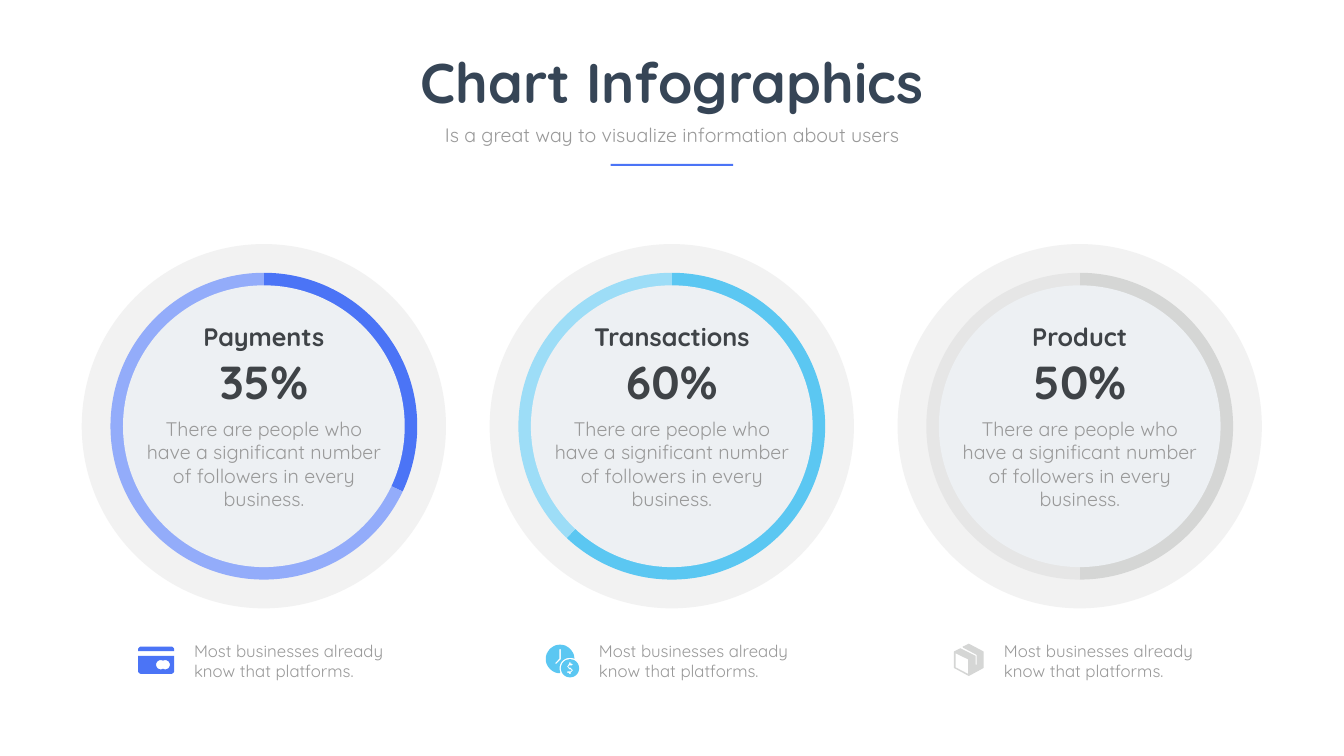
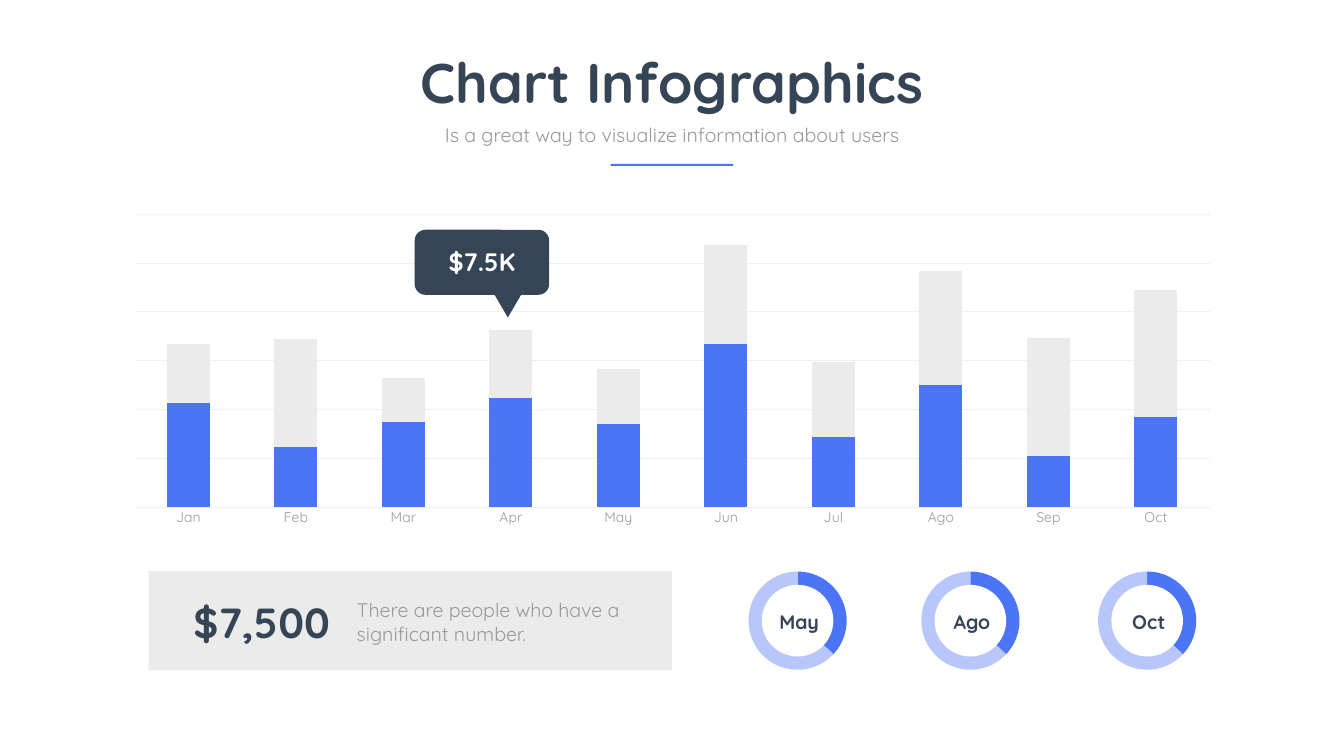
from math import cos, radians, sin

from lxml.etree import SubElement
from pptx import Presentation
from pptx.chart.data import CategoryChartData
from pptx.dml.color import RGBColor
from pptx.enum.chart import XL_CHART_TYPE, XL_TICK_MARK
from pptx.enum.shapes import MSO_SHAPE
from pptx.enum.text import MSO_ANCHOR, MSO_AUTO_SIZE, PP_ALIGN
from pptx.oxml.ns import qn
from pptx.util import Cm, Pt

BLUE = RGBColor(0x4B, 0x74, 0xF6)
SOFT_BLUE = RGBColor(0x93, 0xAC, 0xFA)
PALE_BLUE = RGBColor(0xB7, 0xC7, 0xFB)
SKY = RGBColor(0x5B, 0xC7, 0xF2)
PALE_SKY = RGBColor(0x9D, 0xDD, 0xF7)
SILVER = RGBColor(0xD5, 0xD6, 0xD5)
PALE_SILVER = RGBColor(0xE6, 0xE6, 0xE6)
NAVY = RGBColor(0x36, 0x45, 0x56)
CHARCOAL = RGBColor(0x3F, 0x43, 0x47)
GREY = RGBColor(0x99, 0x99, 0x99)
PANEL = RGBColor(0xEB, 0xEB, 0xEB)
GRID = RGBColor(0xF0, 0xF0, 0xF0)
RING = RGBColor(0xF2, 0xF2, 0xF2)
CORE = RGBColor(0xED, 0xF0, 0xF3)
WHITE = RGBColor(0xFF, 0xFF, 0xFF)

FONT = "Quicksand"
SLIDE_WIDTH, SLIDE_HEIGHT = 67.74, 38.1
MIDDLE = SLIDE_WIDTH / 2


def arc(x, y, radius, start, end):
    """Return points along a circular arc, angles in degrees, clockwise."""
    steps = max(6, round(abs(end - start) / 10))
    angles = [radians(start + (end - start) * i / steps) for i in range(steps + 1)]
    return [(x + radius * cos(a), y + radius * sin(a)) for a in angles]


class Deck:
    """Holds the style and the slide being drawn; positions are centimetres."""

    def __init__(self):
        """Start an empty presentation."""
        self.presentation = Presentation()
        self.presentation.slide_width = Cm(SLIDE_WIDTH)
        self.presentation.slide_height = Cm(SLIDE_HEIGHT)
        self.slide = None

    def new_slide(self):
        """Add a blank slide and make it current."""
        self.slide = self.presentation.slides.add_slide(self.presentation.slide_layouts[6])

    def paint(self, shape, color):
        """Give a shape a flat fill without line or shadow."""
        shape.shadow.inherit = False
        shape.fill.solid()
        shape.fill.fore_color.rgb = color
        shape.line.fill.background()
        return shape

    def shape(self, kind, left, top, width, height, color):
        """Draw a preset shape."""
        shape = self.slide.shapes.add_shape(kind, Cm(left), Cm(top), Cm(width), Cm(height))
        return self.paint(shape, color)

    def disc(self, x, y, diameter, color):
        """Draw a circle around a centre."""
        self.shape(MSO_SHAPE.OVAL, x - diameter / 2, y - diameter / 2,
                   diameter, diameter, color)

    def outline(self, left, top, contours, color):
        """Draw closed contours, in hundredths of a centimetre; inner ones are holes."""
        builder = self.slide.shapes.build_freeform(*contours[0][0], scale=Cm(0.01))
        builder.add_line_segments(contours[0][1:], close=True)
        for contour in contours[1:]:
            builder.move_to(*contour[0])
            builder.add_line_segments(contour[1:], close=True)
        self.paint(builder.convert_to_shape(Cm(left), Cm(top)), color)

    def text(self, words, left, top, width, height, size, color=GREY, bold=False,
             align=PP_ALIGN.LEFT, anchor=MSO_ANCHOR.TOP, inset=None, spacing=None):
        """Write one paragraph in a text box."""
        box = self.slide.shapes.add_textbox(Cm(left), Cm(top), Cm(width), Cm(height))
        frame = box.text_frame
        frame.text = words
        frame.word_wrap = True
        frame.auto_size = MSO_AUTO_SIZE.SHAPE_TO_FIT_TEXT
        frame.vertical_anchor = anchor
        if inset is not None:
            frame.margin_left = frame.margin_right = Cm(inset)
            frame.margin_top = frame.margin_bottom = Cm(inset)
        paragraph = frame.paragraphs[0]
        paragraph.alignment = align
        if spacing:
            paragraph.line_spacing = spacing
        font = paragraph.runs[0].font
        font.name, font.size, font.bold = FONT, Pt(size), bold
        font.color.rgb = color

    def centered(self, words, x, top, width, height, size, **style):
        """Write centred text around a middle line."""
        self.text(words, x - width / 2, top, width, height, size,
                  align=PP_ALIGN.CENTER, **style)

    def heading(self):
        """Draw the title, subtitle and rule that every slide has."""
        self.centered("Chart Infographics", MIDDLE, 2.29, 32.79, 3.68, 80,
                      color=NAVY, bold=True)
        self.centered("Is a great way to visualize information about users",
                      MIDDLE, 6.05, 24.28, 1.45, 28)
        self.shape(MSO_SHAPE.RECTANGLE, MIDDLE - 3.09, 8.26, 6.17, 0.1, BLUE)

    def chart(self, kind, left, top, width, height, categories, series, font, size):
        """Add a chart with a clear background and no title or legend."""
        data = CategoryChartData()
        data.categories = categories
        for name, values in series:
            data.add_series(name, values)
        chart = self.slide.shapes.add_chart(
            kind, Cm(left), Cm(top), Cm(width), Cm(height), data).chart
        chart.has_title = False
        chart.has_legend = False
        properties = SubElement(chart.element, qn("c:spPr"))
        SubElement(properties, qn("a:noFill"))
        SubElement(SubElement(properties, qn("a:ln")), qn("a:noFill"))
        chart.element.find(qn("c:chart")).addnext(properties)
        chart.font.name, chart.font.size = font, Pt(size)
        chart.font.color.rgb = GREY
        return chart

    def ring(self, x, y, diameter, hole, values, colors, hole_color):
        """Draw a pie chart with a disc over its middle."""
        chart = self.chart(XL_CHART_TYPE.PIE, x - diameter / 2, y - diameter / 2,
                           diameter, diameter, ["1", "2"], [("Series 1", values)],
                           "Calibri", 10)
        plot = chart.plots[0]
        plot.vary_by_categories = False
        for index, color in enumerate(colors):
            style = plot.series[0].points[index].format
            style.fill.solid()
            style.fill.fore_color.rgb = color
            style.line.fill.background()
        self.fill_plot_area(chart)
        self.disc(x, y, hole, hole_color)

    def fill_plot_area(self, chart):
        """Stretch the plot over the whole chart frame."""
        area = chart.element.find(".//" + qn("c:plotArea"))
        for old in area.findall(qn("c:layout")):
            area.remove(old)
        layout = SubElement(area, qn("c:layout"))
        area.insert(0, layout)
        manual = SubElement(layout, qn("c:manualLayout"))
        for tag, value in (("layoutTarget", "inner"), ("xMode", "edge"), ("yMode", "edge"),
                           ("x", "0.005"), ("y", "0.005"), ("w", "0.99"), ("h", "0.99")):
            SubElement(manual, qn("c:" + tag)).set("val", value)

    def stacked_columns(self, left, top, width, height, categories, series, colors):
        """Draw stacked columns over light grid lines."""
        chart = self.chart(XL_CHART_TYPE.COLUMN_STACKED, left, top, width, height,
                           categories, series, FONT, 20)
        plot = chart.plots[0]
        plot.vary_by_categories = False
        plot.gap_width, plot.overlap = 150, 100
        for one_series, color in zip(plot.series, colors):
            one_series.format.fill.solid()
            one_series.format.fill.fore_color.rgb = color
        value_axis, category_axis = chart.value_axis, chart.category_axis
        value_axis.visible = False
        value_axis.minimum_scale, value_axis.maximum_scale = 0, 180
        value_axis.major_unit = 30
        value_axis.has_major_gridlines = True
        category_axis.major_tick_mark = XL_TICK_MARK.NONE
        for line in (value_axis.major_gridlines.format.line, category_axis.format.line):
            line.color.rgb = GRID
            line.width = Pt(0.75)

    def card_icon(self, left, top, color):
        """Draw a payment card."""
        stripe = [(182, 23), (0, 23)] + arc(15, 15, 15, 180, 270) + arc(167, 15, 15, 270, 360)
        body = [(0, 46), (182, 46)] + arc(167, 122, 15, 0, 90) + arc(15, 122, 15, 90, 180)
        badge = arc(114, 91, 23, 60, 300) + arc(137, 91, 23, -120, 120)
        self.outline(left, top, [stripe], color)
        self.outline(left, top, [body, badge], color)

    def clock_icon(self, left, top, color):
        """Draw a clock with a coin in front."""
        clock = arc(72, 72, 72, 90, 360) + arc(122, 119, 53, -70, -200)
        hands = [(69, 23), (76, 23), (76, 74), (53, 97), (46, 94), (69, 69)]
        sign = [(-3, -3), (3, -3), (15, 10), (3, 23), (3, 30), (-5, 30), (-5, 23),
                (-13, 23), (-15, 20), (-13, 15), (3, 15), (8, 10), (3, 5), (-3, 5),
                (-15, -8), (-5, -23), (-5, -30), (3, -30), (3, -23), (10, -23),
                (15, -18), (10, -15), (-3, -15), (-8, -8)]
        dollar = [(122 + x, 119 + y) for x, y in sign]
        self.outline(left, top, [clock, hands], color)
        self.outline(left, top, [arc(122, 119, 46, 0, 360), dollar], color)

    def box_icon(self, left, top, color):
        """Draw a parcel."""
        parcel = [(147, 38), (75, 0), (44, 15), (46, 20), (114, 56), (114, 104),
                  (112, 109), (109, 104), (109, 61), (33, 23), (3, 38), (0, 41),
                  (0, 122), (3, 124), (75, 163), (147, 124), (150, 122), (150, 41)]
        face = [(71, 152), (8, 119), (8, 48), (71, 79)]
        self.outline(left, top, [parcel, face], color)


def rings_slide(deck):
    """Three large rings with a note under each."""
    deck.new_slide()
    rings = [
        ("Payments", "35%", (32, 68), (BLUE, SOFT_BLUE), deck.card_icon, 6.96, 32.59),
        ("Transactions", "60%", (62, 38), (SKY, PALE_SKY), deck.clock_icon, 27.51, 32.49),
        ("Product", "50%", (50, 50), (SILVER, PALE_SILVER), deck.box_icon, 48.08, 32.44),
    ]
    y = 21.48
    label = {"color": CHARCOAL, "bold": True, "anchor": MSO_ANCHOR.MIDDLE, "inset": 0.15}
    for index, (name, share, values, colors, icon, left, top) in enumerate(rings):
        x = 13.3 + 20.56 * index
        deck.disc(x, y, 18.36, RING)
        deck.ring(x, y, 15.62, 14.2, values, colors, CORE)
        deck.centered(name, x, 16.48, 9.8, 1.37, 36, spacing=0.7, **label)
        deck.centered(share, x, 17.65, 9.8, 3.1, 66, **label)
        deck.centered("There are people who have a significant number of followers "
                      "in every business.", x, 20.88, 12.62, 5.05, 28)
        icon(left, top, colors[0])
        deck.text("Most businesses already know that platforms.",
                  9.53 + 20.41 * index, 32.18, 10.59, 2.31, 24)
    deck.heading()


def columns_slide(deck):
    """Monthly columns with a callout, a total and three small rings."""
    deck.new_slide()
    months = ["Jan", "Feb", "Mar", "Apr", "May", "Jun", "Jul", "Ago", "Sep", "Oct"]
    series = [("Series 1", (64, 37, 52, 67, 51, 100, 43, 75, 31, 55)),
              ("Series 2", (36, 66, 27, 42, 34, 61, 46, 70, 73, 78))]
    deck.stacked_columns(5.66, 10.46, 56.44, 16.41, months, series, (BLUE, PANEL))

    deck.shape(MSO_SHAPE.ROUNDED_RECTANGLE, 20.9, 11.58, 6.78, 3.28, NAVY)
    pointer = deck.shape(MSO_SHAPE.ISOSCELES_TRIANGLE, 24.87, 14.76, 1.45, 1.24, NAVY)
    pointer.rotation = 180
    deck.centered("$7.5K", 24.29, 12.27, 6.78, 1.8, 36, color=WHITE, bold=True)

    deck.shape(MSO_SHAPE.RECTANGLE, 7.49, 28.78, 26.37, 5, PANEL)
    deck.text("$7,500", 9.5, 29.92, 8.61, 2.82, 60, color=NAVY, bold=True)
    deck.text("There are people who have a significant number.",
              17.73, 30.02, 14.35, 2.64, 28)

    for month, x in (("May", 40.2), ("Ago", 48.91), ("Oct", 57.82)):
        deck.ring(x, 31.28, 5, 3.61, (37, 63), (BLUE, PALE_BLUE), WHITE)
        deck.centered(month, x + 0.08, 30.61, 5, 1.47, 28, color=NAVY, bold=True, inset=0.15)
    deck.heading()


deck = Deck()
rings_slide(deck)
columns_slide(deck)
deck.presentation.save("out.pptx")
